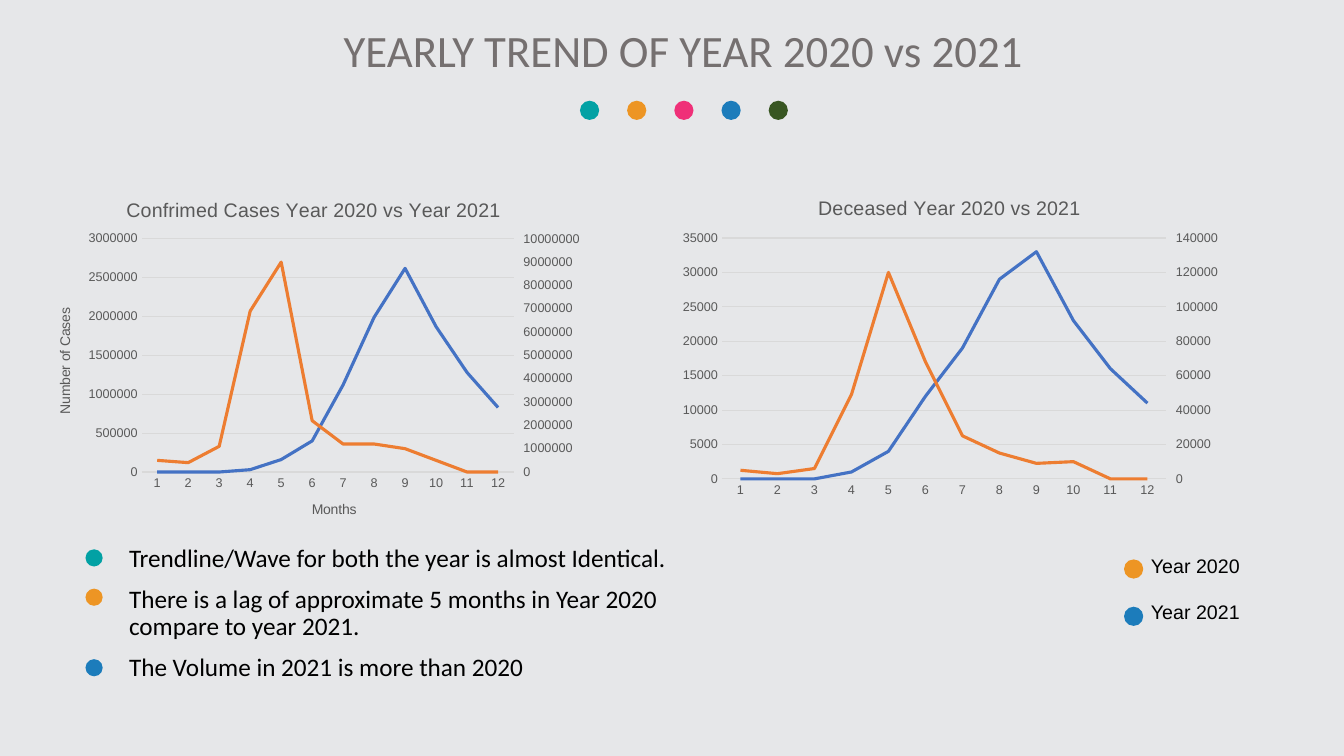
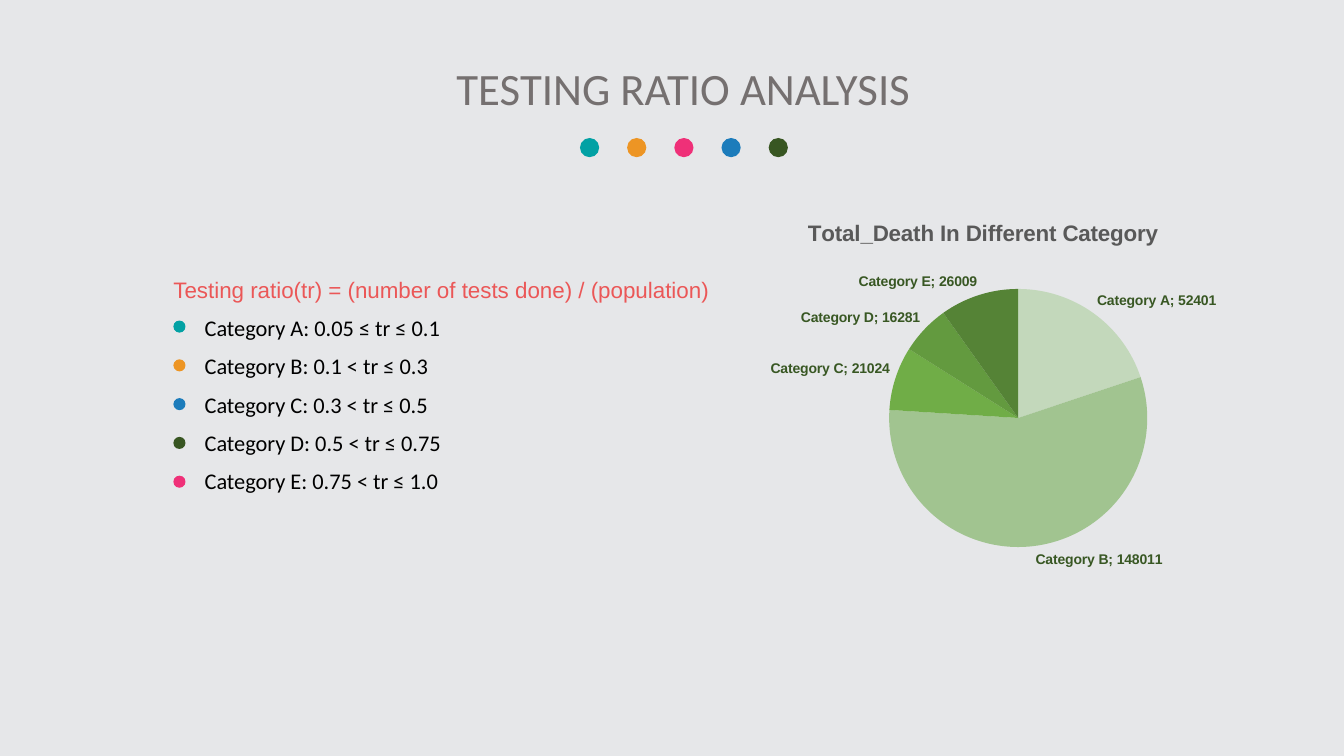
import copy

import pptx
import pptx.chart.axis
import pptx.chart.data
import pptx.dml.color
import pptx.enum.chart
import pptx.enum.shapes
import pptx.enum.text
import pptx.oxml
import pptx.oxml.ns
import pptx.util

RGBColor = pptx.dml.color.RGBColor
Pt = pptx.util.Pt
qn = pptx.oxml.ns.qn
ChartType = pptx.enum.chart.XL_CHART_TYPE
TickMark = pptx.enum.chart.XL_TICK_MARK

SLIDE_WIDTH = pptx.util.Inches(13.333)
SLIDE_HEIGHT = pptx.util.Inches(7.5)

PAPER = RGBColor(0xE6, 0xE7, 0xE9)
BLACK = RGBColor(0, 0, 0)
TITLE_GRAY = RGBColor(0x75, 0x70, 0x70)
CHART_GRAY = RGBColor(0x59, 0x59, 0x59)
GRID_GRAY = RGBColor(0xD9, 0xD9, 0xD9)
TEAL = RGBColor(0x02, 0xA1, 0xA4)
ORANGE = RGBColor(0xED, 0x95, 0x24)
PINK = RGBColor(0xEF, 0x30, 0x78)
BLUE = RGBColor(0x1C, 0x7C, 0xBB)
GREEN = RGBColor(0x38, 0x56, 0x22)
LABEL_GREEN = RGBColor(0x38, 0x57, 0x23)
RED = RGBColor(0xEB, 0x57, 0x57)
LINE_BLUE = RGBColor(0x44, 0x72, 0xC4)
LINE_ORANGE = RGBColor(0xED, 0x7D, 0x31)
PIE_GREENS = [RGBColor.from_string(code)
              for code in ("C3D8BB", "A1C490", "70AD47", "639A3F", "558336")]

HEADER_DOTS = (TEAL, ORANGE, PINK, BLUE, GREEN)
HEADER_DOT = 1.43
TITLE_FONT = {"name": "Calibri", "size": Pt(32), "bold": False}
POINT_FONT = {"name": "Calibri", "size": Pt(18)}
CATEGORY_FONT = {"name": "Calibri", "size": Pt(16)}
FORMULA_FONT = {"name": "Arial", "size": Pt(16)}
LEGEND_FONT = {"name": "Arial", "size": Pt(14)}
CHART_FONT = {"name": "Arial", "size": Pt(10), "bold": False}
TICK_FONT = {"name": "Arial", "size": Pt(9), "bold": False}
CHART_TITLE_FONT = {"name": "Arial", "size": Pt(14), "bold": False}
PIE_TITLE_FONT = {"name": "Arial", "size": Pt(16), "bold": True}
PIE_LABEL_FONT = {"name": "Arial", "size": Pt(10), "bold": True}
NO_FILL = ('<c:spPr xmlns:c="http://schemas.openxmlformats.org/drawingml/2006/chart"'
           ' xmlns:a="http://schemas.openxmlformats.org/drawingml/2006/main">'
           "<a:noFill/><a:ln><a:noFill/></a:ln></c:spPr>")

def apply(target, values):
    for name, value in values.items():
        setattr(target, name, value)

def style_font(font, values, color):
    apply(font, values)
    font.color.rgb = color

def write(para, text, font, color):
    span = para.add_run()
    span.text = text
    style_font(span.font, font, color)

def across(percent):
    return round(SLIDE_WIDTH * percent / 100)

def down(percent):
    return round(SLIDE_HEIGHT * percent / 100)

def area(left, top, width, height):
    return across(left), down(top), across(width), down(height)

def move(shape, bounds):
    apply(shape, dict(zip(("left", "top", "width", "height"), area(*bounds))))

def child(parent, tag, **attributes):
    element = parent.makeelement(qn(tag), attributes)
    parent.append(element)
    return element

def paint(fill, color):
    fill.solid()
    fill.fore_color.rgb = color

def add_dot(page, center_x, center_y, diameter, color):
    size = across(diameter)
    left, top = across(center_x) - size // 2, down(center_y) - size // 2
    dot = page.shapes.add_shape(pptx.enum.shapes.MSO_SHAPE.OVAL, left, top, size, size)
    dot.shadow.inherit = False
    paint(dot.fill, color)
    dot.line.fill.background()

def prepare_frame(shape, bounds):
    move(shape, bounds)
    apply(shape.text_frame, {"word_wrap": True, "auto_size": pptx.enum.text.MSO_AUTO_SIZE.NONE,
                             "vertical_anchor": pptx.enum.text.MSO_ANCHOR.TOP})
    return shape.text_frame

def add_page(deck, title, top):
    page = deck.slides.add_slide(deck.slide_layouts[1])
    para = prepare_frame(page.shapes.title, (7.65, top, 86.4, 8.53)).paragraphs[0]
    para.alignment = pptx.enum.text.PP_ALIGN.CENTER
    write(para, title, TITLE_FONT, TITLE_GRAY)
    for index, color in enumerate(HEADER_DOTS):
        add_dot(page, 43.87 + 3.51 * index, top + 12.2, HEADER_DOT, color)
    return page

def set_bullet(para, indent):
    properties = para._p.get_or_add_pPr()
    properties.set("marL", str(indent))
    properties.set("indent", str(-indent))
    if indent:
        child(child(properties, "a:buClr"), "a:srgbClr", val=str(BLACK))
        child(properties, "a:buFont", typeface="Arial")
        child(properties, "a:buChar", char="\u2022")
    else:
        child(properties, "a:buNone")

def next_para(frame, index, gap):
    para = frame.add_paragraph() if index else frame.paragraphs[0]
    para.space_before = Pt(gap if index else 0)
    return para

def fill_body(page, bounds, lines):
    frame = prepare_frame(page.placeholders[1], bounds)
    for index, (text, font, color, indent) in enumerate(lines):
        para = next_para(frame, index, 10)
        para.line_spacing = 0.9
        set_bullet(para, pptx.util.Inches(indent))
        write(para, text, font, color)

def add_legend(page, bounds, names):
    frame = page.shapes.add_textbox(*area(*bounds)).text_frame
    frame.word_wrap = False
    for index, name in enumerate(names):
        write(next_para(frame, index, 16), name, LEGEND_FONT, BLACK)

def write_title(holder, text, font):
    write(holder.text_frame.paragraphs[0], text, font, CHART_GRAY)

def place_plot(plot_area, shares):
    for old in plot_area.findall(qn("c:layout")):
        plot_area.remove(old)
    layout = plot_area.makeelement(qn("c:layout"), {})
    plot_area.insert(0, layout)
    manual = child(layout, "c:manualLayout")
    child(manual, "c:layoutTarget", val="inner")
    for tag in ("xMode", "yMode"):
        child(manual, "c:" + tag, val="edge")
    for tag, share in zip("xywh", shares):
        child(manual, "c:" + tag, val=str(share))

def add_chart(page, kind, bounds, plot_shares, title, title_font, categories, columns):
    data = pptx.chart.data.CategoryChartData()
    data.categories = categories
    for index, values in enumerate(columns, 1):
        data.add_series(f"Series {index}", values)
    chart = page.shapes.add_chart(kind, *area(*bounds), data).chart
    apply(chart, {"has_legend": False, "has_title": True})
    style_font(chart.font, CHART_FONT, BLACK)
    write_title(chart.chart_title, title, title_font)
    chart.plots[0].vary_by_categories = kind == ChartType.PIE
    body = chart._chartSpace.chart
    place_plot(body.plotArea, plot_shares)
    body.plotArea.append(pptx.oxml.parse_xml(NO_FILL))
    body.addnext(pptx.oxml.parse_xml(NO_FILL))
    return chart

def style_axis(axis):
    apply(axis, {"major_tick_mark": TickMark.NONE, "minor_tick_mark": TickMark.NONE})
    style_font(axis.tick_labels.font, TICK_FONT, CHART_GRAY)

def style_rule(line, color, width):
    line.color.rgb = color
    line.width = Pt(width)

def add_right_axis(chart, maximum, unit):
    first = chart.plots[0]._element
    second = copy.deepcopy(first)
    first.remove(first.findall(qn("c:ser"))[1])
    second.remove(second.findall(qn("c:ser"))[0])
    first.addnext(second)
    months = copy.deepcopy(chart.category_axis._element)
    counts = copy.deepcopy(chart.value_axis._element)
    chart.value_axis._element.addnext(counts)
    counts.addnext(months)
    for element, own, other in ((months, "501", "502"), (counts, "502", "501")):
        element.find(qn("c:axId")).set("val", own)
        element.find(qn("c:crossAx")).set("val", other)
    for element, own in zip(second.findall(qn("c:axId")), ("501", "502")):
        element.set("val", own)
    hidden = pptx.chart.axis.CategoryAxis(months)
    apply(hidden, {"has_title": False, "visible": False})
    counts.find(qn("c:axPos")).set("val", "r")
    counts.find(qn("c:crosses")).set("val", "max")
    apply(pptx.chart.axis.ValueAxis(counts), {
        "has_title": False, "has_major_gridlines": False, "maximum_scale": maximum,
        "major_unit": unit, "major_tick_mark": TickMark.OUTSIDE})

def title_axes(months, counts, month_title, count_title):
    write_title(months.axis_title, month_title, CHART_FONT)
    write_title(counts.axis_title, count_title, CHART_FONT)
    upright = counts.axis_title.text_frame._txBody.find(qn("a:bodyPr"))
    upright.set("rot", "-5400000")
    upright.set("vert", "horz")

def add_trend(page, bounds, plot_shares, title, columns, left_scale, right_scale, axis_titles=()):
    chart = add_chart(page, ChartType.LINE, bounds, plot_shares, title, CHART_TITLE_FONT,
                      [str(month) for month in range(1, 13)], columns)
    months, counts = chart.category_axis, chart.value_axis
    for axis in (months, counts):
        style_axis(axis)
    style_rule(months.format.line, GRID_GRAY, 0.75)
    counts.format.line.fill.background()
    style_rule(counts.major_gridlines.format.line, GRID_GRAY, 0.75)
    apply(counts, {"minimum_scale": 0, "maximum_scale": left_scale[0], "major_unit": left_scale[1]})
    apply(counts.tick_labels, {"number_format": "0", "number_format_is_linked": False})
    for series, color in zip(chart.plots[0].series, (LINE_BLUE, LINE_ORANGE)):
        series.smooth = False
        style_rule(series.format.line, color, 2.25)
    if axis_titles:
        title_axes(months, counts, *axis_titles)
    add_right_axis(chart, *right_scale)

def add_pie(page, bounds, plot_shares, title, categories, values):
    chart = add_chart(page, ChartType.PIE, bounds, plot_shares, title, PIE_TITLE_FONT,
                      categories, [values])
    series = chart.plots[0].series[0]
    for index, color in enumerate(PIE_GREENS):
        paint(series.points[index].format.fill, color)
    labels = series.data_labels
    apply(labels, {"show_value": True, "show_category_name": True,
                   "position": pptx.enum.chart.XL_LABEL_POSITION.OUTSIDE_END})
    style_font(labels.font, PIE_LABEL_FONT, LABEL_GREEN)
    labels._element.find(qn("c:txPr")).find(qn("a:bodyPr")).set("wrap", "square")
    separator = labels._element.makeelement(qn("c:separator"), {})
    separator.text = "; "
    labels._element.find(qn("c:showBubbleSize")).addnext(separator)

def build_trend_page(deck):
    page = add_page(deck, "YEARLY TREND OF YEAR 2020 vs 2021", 2.4)
    points = ("Trendline/Wave for both the year is almost Identical.",
              "There is a lag of approximate 5 months in Year 2020 compare to year 2021.",
              "The Volume in 2021 is more than 2020")
    fill_body(page, (6, 71.47, 48.5, 28.5), [(text, POINT_FONT, BLACK, 0.38) for text in points])
    for center_y, color in ((73.8, TEAL), (79, ORANGE), (88.33, BLUE)):
        add_dot(page, 7, center_y, 1.28, color)
    add_trend(
        page, (2.7, 24, 41.3, 47.47), (0.19, 0.16, 0.67, 0.65),
        "Confrimed Cases Year 2020 vs Year 2021",
        ((0, 0, 0, 30000, 160000, 400000, 1120000, 1990000, 2620000, 1870000, 1280000, 830000),
         (500000, 400000, 1100000, 6900000, 9000000, 2200000,
          1200000, 1200000, 1000000, 500000, 0, 0)),
        (3000000, 500000), (10000000, 1000000), ("Months", "Number of Cases"))
    add_trend(
        page, (50, 23.73, 41.3, 43.07), (0.09, 0.18, 0.8, 0.74), "Deceased Year 2020 vs 2021",
        ((0, 0, 0, 1000, 4000, 12000, 19000, 29000, 33000, 23000, 16000, 11000),
         (5000, 3000, 6000, 49000, 120000, 68000, 25000, 15000, 9000, 10000, 0, 0)),
        (35000, 5000), (140000, 20000))
    for center_y, color in ((75.27, ORANGE), (81.53, BLUE)):
        add_dot(page, 84.35, center_y, HEADER_DOT, color)
    add_legend(page, (84.9, 72.67, 8.25, 10.8), ("Year 2020", "Year 2021"))

def build_ratio_page(deck):
    page = add_page(deck, "TESTING RATIO ANALYSIS", 7.33)
    ranges = {"Category A": "0.05 \u2264 tr \u2264 0.1", "Category B": "0.1 < tr \u2264 0.3",
              "Category C": "0.3 < tr \u2264 0.5", "Category D": "0.5 < tr \u2264 0.75",
              "Category E": "0.75 < tr \u2264 1.0"}
    formula = "Testing ratio(tr) = (number of tests done) / (population)"
    fill_body(page, (12.15, 36.27, 50.55, 63.73), [(formula, FORMULA_FONT, RED, 0)] + [
        (f"{name}: {limits}", CATEGORY_FONT, BLACK, 0.31) for name, limits in ranges.items()])
    for index, color in enumerate((TEAL, ORANGE, BLUE, GREEN, PINK)):
        add_dot(page, 13.35, 43.2 + 5.13 * index, 0.9, color)
    add_pie(page, (49.4, 26.67, 47.5, 52.53), (0.35, 0.22, 0.41, 0.65),
            "Total_Death In Different Category", list(ranges), (52401, 148011, 21024, 16281, 26009))

def main():
    deck = pptx.Presentation()
    apply(deck, {"slide_width": SLIDE_WIDTH, "slide_height": SLIDE_HEIGHT})
    paint(deck.slide_master.background.fill, PAPER)
    build_trend_page(deck)
    build_ratio_page(deck)
    deck.save("out.pptx")

main()
